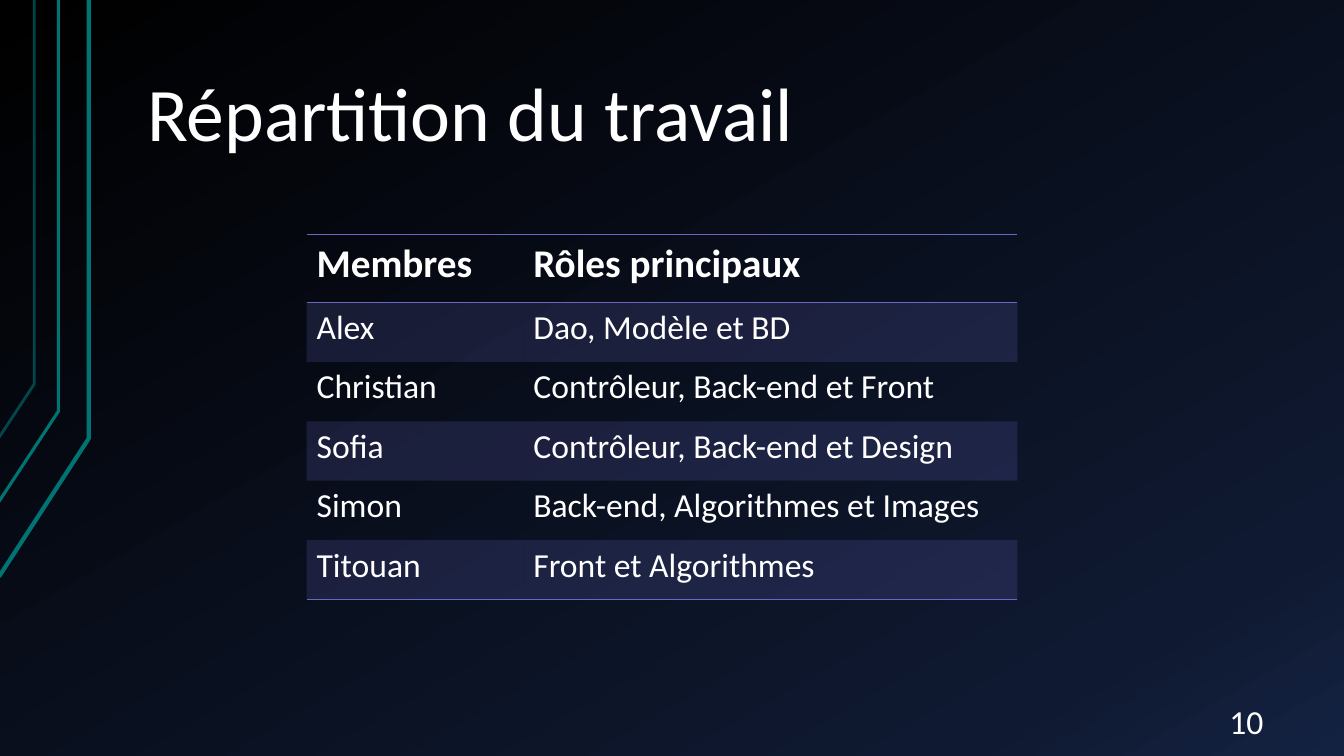
from dataclasses import dataclass

from lxml.etree import SubElement
from pptx import Presentation
from pptx.dml.color import RGBColor
from pptx.enum.text import MSO_ANCHOR, PP_ALIGN
from pptx.oxml.ns import qn
from pptx.util import Inches, Pt


@dataclass(frozen=True)
class Theme:
    """Colours, font and type sizes of the slide."""
    font: str = "Calibri"
    text: str = "FFFFFF"
    teal: str = "007373"
    violet: str = "6868C4"
    gradient: tuple = ((0, "000000"), (85, "0F1931"), (100, "142242"))
    gradient_angle: int = 60
    band_opacity: int = 20
    title_size: int = 54
    header_size: int = 28
    body_size: int = 24


THEME = Theme()
NO_TABLE_STYLE = "{2D5ABB26-0587-4C30-8999-92F81FD0307C}"
COLUMN_WIDTHS = (2.15, 4.9)
HEADER_HEIGHT, ROW_HEIGHT = 0.67, 0.59
ROLES = (
    ("Membres", "Rôles principaux"),
    ("Alex", "Dao, Modèle et BD"),
    ("Christian", "Contrôleur, Back-end et Front"),
    ("Sofia", "Contrôleur, Back-end et Design"),
    ("Simon", "Back-end, Algorithmes et Images"),
    ("Titouan", "Front et Algorithmes"),
)
CIRCUIT_LINES = (
    (((-0.01, 5.72), (0.88, 4.35), (0.88, 0)), 3, 100),
    (((-0.02, 4.99), (0.58, 4.08), (0.58, 0)), 2.25, 100),
    (((-0.01, 4.34), (0.34, 3.81), (0.34, 0)), 2, 60),
)


def set_opacity(parent, percent):
    """Make the solid colour inside an element translucent."""
    color = parent.find(".//" + qn("a:srgbClr"))
    SubElement(color, qn("a:alpha"), val=str(percent * 1000))


def paint_background(slide):
    """Fill the slide with the theme gradient."""
    slide.background.fill.gradient()
    gradient = slide.element.find(".//" + qn("a:gradFill"))
    for child in list(gradient):
        gradient.remove(child)
    stops = SubElement(gradient, qn("a:gsLst"))
    for position, color in THEME.gradient:
        stop = SubElement(stops, qn("a:gs"), pos=str(position * 1000))
        SubElement(stop, qn("a:srgbClr"), val=color)
    SubElement(gradient, qn("a:lin"), ang=str(THEME.gradient_angle * 60000), scaled="0")


def add_circuit_line(slide, points, width, opacity):
    """Draw one open bent line."""
    start, *others = [(Inches(x), Inches(y)) for x, y in points]
    builder = slide.shapes.build_freeform(*start)
    builder.add_line_segments(others, close=False)
    shape = builder.convert_to_shape()
    shape.shadow.inherit = False
    shape.fill.background()
    shape.line.color.rgb = RGBColor.from_string(THEME.teal)
    shape.line.width = Pt(width)
    if opacity < 100:
        set_opacity(shape.line._get_or_add_ln(), opacity)


def write(paragraph, text, size, bold=False):
    """Put text in a paragraph in the theme font."""
    paragraph.text = text
    paragraph.font.name = THEME.font
    paragraph.font.size = Pt(size)
    paragraph.font.bold = bold
    paragraph.font.color.rgb = RGBColor.from_string(THEME.text)


def add_label(slide, box, text, size, anchor, align=PP_ALIGN.LEFT):
    """Add a text box with one paragraph and return the paragraph."""
    frame = slide.shapes.add_textbox(*map(Inches, box)).text_frame
    frame.word_wrap = True
    frame.vertical_anchor = anchor
    frame.margin_left = frame.margin_right = Inches(0.13)
    frame.margin_top = frame.margin_bottom = Inches(0.07)
    paragraph = frame.paragraphs[0]
    paragraph.alignment = align
    write(paragraph, text, size)
    return paragraph


def add_border(cell, side):
    """Rule one side of a cell."""
    line = SubElement(cell._tc.get_or_add_tcPr(), qn(f"a:ln{side}"), w=str(Pt(1)))
    fill = SubElement(line, qn("a:solidFill"))
    SubElement(fill, qn("a:srgbClr"), val=THEME.violet)


def style_cell(cell, row, last_row):
    """Rule the header and the table end, and band the odd rows."""
    if row == 0:
        add_border(cell, "T")
    if row in (0, last_row):
        add_border(cell, "B")
    if row % 2:
        cell.fill.solid()
        cell.fill.fore_color.rgb = RGBColor.from_string(THEME.violet)
        set_opacity(cell._tc.tcPr.find(qn("a:solidFill")), THEME.band_opacity)
    else:
        cell.fill.background()


def add_roles_table(slide, left, top):
    """Add the table of members and roles."""
    last_row = len(ROLES) - 1
    frame = slide.shapes.add_table(
        len(ROLES), len(COLUMN_WIDTHS), Inches(left), Inches(top),
        Inches(sum(COLUMN_WIDTHS)), Inches(HEADER_HEIGHT + last_row * ROW_HEIGHT))
    table = frame.table
    table.first_row = table.horz_banding = False
    table._tbl.tblPr.find(qn("a:tableStyleId")).text = NO_TABLE_STYLE
    for column, width in zip(table.columns, COLUMN_WIDTHS):
        column.width = Inches(width)
    for row, texts in enumerate(ROLES):
        header = row == 0
        table.rows[row].height = Inches(HEADER_HEIGHT if header else ROW_HEIGHT)
        size = THEME.header_size if header else THEME.body_size
        for column, text in enumerate(texts):
            cell = table.cell(row, column)
            write(cell.text_frame.paragraphs[0], text, size, bold=header)
            style_cell(cell, row, last_row)


def main():
    """Build and save the slide."""
    presentation = Presentation()
    presentation.slide_width = Inches(13.33)
    presentation.slide_height = Inches(7.5)
    slide = presentation.slides.add_slide(presentation.slide_layouts[6])
    paint_background(slide)
    for points, width, opacity in CIRCUIT_LINES:
        add_circuit_line(slide, points, width, opacity)
    title = add_label(slide, (1.33, 0.3, 11.33, 1.34), "Répartition du travail",
                      THEME.title_size, MSO_ANCHOR.BOTTOM)
    title.line_spacing = 0.9
    add_roles_table(slide, 3.04, 2.33)
    add_label(slide, (11.55, 6.95, 1.11, 0.4), "10",
              THEME.body_size, MSO_ANCHOR.MIDDLE, PP_ALIGN.RIGHT)
    presentation.save("out.pptx")


if __name__ == "__main__":
    main()
